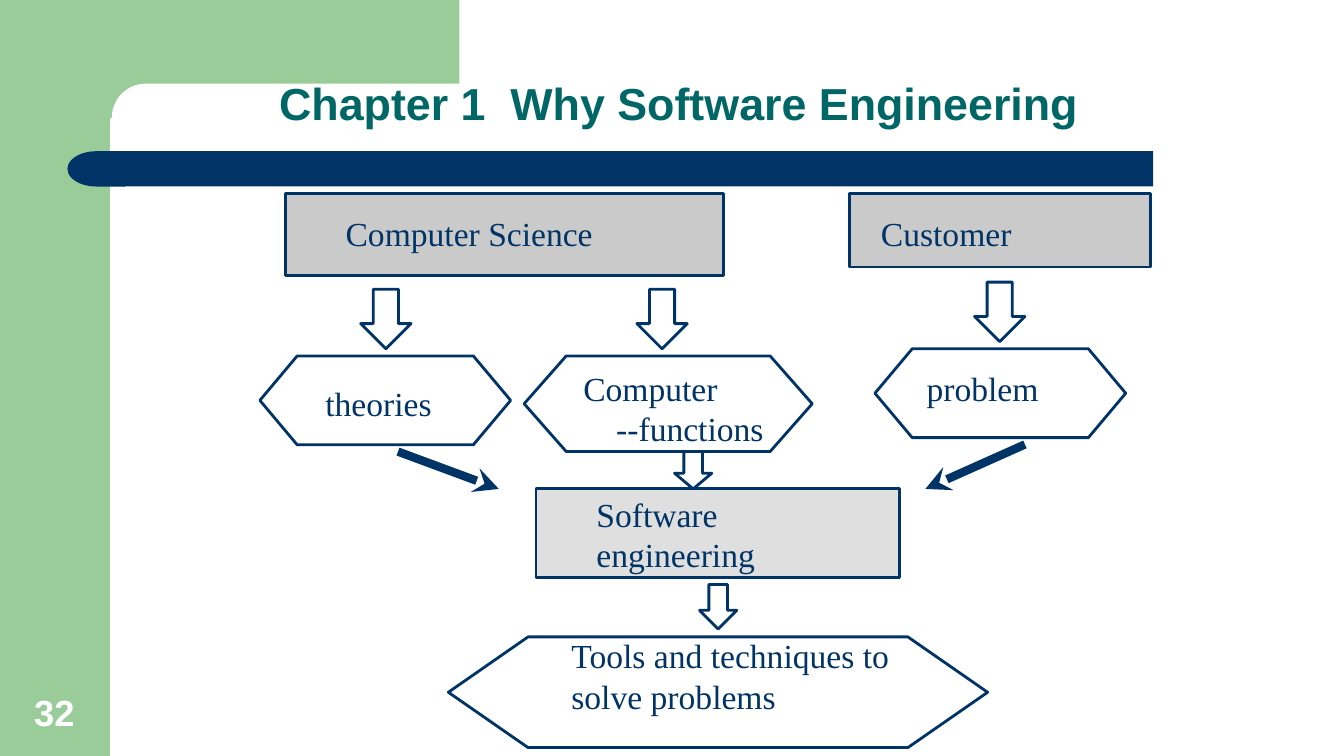
import pptx
import pptx.util
import pptx.dml.color
import pptx.enum.shapes
import pptx.enum.text
import pptx.oxml.ns
from lxml import etree

Cm, Pt = pptx.util.Cm, pptx.util.Pt
MSO = pptx.enum.shapes.MSO_SHAPE
ANCHOR = pptx.enum.text.MSO_ANCHOR
COLORS = {"green": "99CC99", "navy": "003366", "teal": "006666",
          "white": "FFFFFF", "gray": "969696", "silver": "C0C0C0"}


def rgb(name):
    return pptx.dml.color.RGBColor.from_string(COLORS[name])


def add_shape(kind, box, fill=None, outlined=True):
    sp = s.shapes.add_shape(kind, *[Cm(v) for v in box])
    sp.shadow.inherit = False
    if fill:
        sp.fill.solid()
        sp.fill.fore_color.rgb = rgb(fill)
    else:
        sp.fill.background()
    if outlined:
        sp.line.color.rgb = rgb("navy")
        sp.line.width = Pt(2)
    else:
        sp.line.fill.background()
    return sp


prs = pptx.Presentation()
prs.slide_width, prs.slide_height = Cm(33.87), Cm(19.05)
s = prs.slides.add_slide(prs.slide_layouts[5])

for kind, box, fill in [
    (MSO.RECTANGLE, (0, 0, 2.77, 19.05), "green"),
    (MSO.RECTANGLE, (2.49, 0, 9.09, 2.97), "green"),
    (MSO.ROUNDED_RECTANGLE, (2.82, 2.11, 18.9, 1.7), "white"),
    (MSO.RECTANGLE, (3.1, 3.81, 25.96, 0.89), "navy"),
    (MSO.FLOWCHART_DELAY, (1.7, 3.81, 1.45, 0.89), "navy"),
]:
    sp = add_shape(kind, box, fill, outlined=False)
    if kind == MSO.ROUNDED_RECTANGLE:
        sp.adjustments[0] = 0.5
    if kind == MSO.FLOWCHART_DELAY:
        sp.rotation = 180

title = s.shapes.title
s.shapes._spTree.append(title._element)
title.left, title.top, title.width, title.height = Cm(6.78), Cm(1.4), Cm(22.22), Cm(2)
number = s.shapes.add_textbox(Cm(0.28), Cm(17.27), Cm(2.18), Cm(1.35))
for sp, text, size, color, align in [
    (title, "Chapter 1  Why Software Engineering", 32, "teal", pptx.enum.text.PP_ALIGN.LEFT),
    (number, "32", 26, "white", pptx.enum.text.PP_ALIGN.CENTER),
]:
    tf = sp.text_frame
    tf.text = text
    tf.word_wrap = True
    tf.auto_size = pptx.enum.text.MSO_AUTO_SIZE.NONE
    tf.vertical_anchor = ANCHOR.BOTTOM
    p = tf.paragraphs[0]
    p.alignment = align
    p.font.name, p.font.size, p.font.bold = "Arial", Pt(size), True
    p.font.color.rgb = rgb(color)
title.text_frame.paragraphs[0].line_spacing = 0.9

for box, fill in [
    ((7.19, 4.88, 11.05, 2.06), "gray"),
    ((21.41, 4.88, 7.59, 1.85), "gray"),
    ((13.51, 12.32, 9.17, 2.24), "silver"),
]:
    sp = add_shape(MSO.RECTANGLE, box, fill)
    clr = sp._element.spPr.find(".//" + pptx.oxml.ns.qn("a:srgbClr"))
    etree.SubElement(clr, pptx.oxml.ns.qn("a:alpha"), val="50000")

for box, head in [
    ((9.09, 7.29, 1.27, 1.5), 0.5),
    ((16.05, 7.29, 1.27, 1.5), 0.5),
    ((24.56, 7.11, 1.27, 1.5), 0.5),
    ((17, 11.38, 0.94, 0.94), 0.42),
    ((17.63, 14.73, 0.94, 1.12), 0.5),
]:
    add_shape(MSO.DOWN_ARROW, box).adjustments[1] = head

for box, adj in [
    ((6.55, 8.97, 6.32, 2.24), 0.42),
    ((13.21, 8.97, 7.26, 2.41), 0.44),
    ((22.05, 8.79, 6.32, 2.24), 0.42),
    ((11.3, 16.05, 13.59, 2.79), 0.72),
]:
    add_shape(MSO.HEXAGON, box).adjustments[0] = adj

for text, left, top, width in [
    ("Computer Science", 8.46, 5.23, 9.8),
    ("Customer", 21.95, 5.23, 6.4),
    ("theories", 7.95, 9.53, 5),
    ("Computer\n--functions", 14.45, 9.14, 5.6),
    ("problem", 23.1, 9.14, 5),
    ("Software\vengineering", 14.78, 12.32, 7.9),
    ("Tools and techniques to\vsolve problems", 14.15, 15.88, 10.44),
]:
    lines = 1 + text.count("\n") + text.count("\v")
    tf = s.shapes.add_textbox(Cm(left), Cm(top), Cm(width), Cm(0.25 + 1.02 * lines)).text_frame
    tf.word_wrap = True
    tf.text = text
    for p in tf.paragraphs:
        p.font.name, p.font.size = "Times New Roman", Pt(24)
        p.font.color.rgb = rgb("navy")
        if p.text.startswith("--"):
            p._p.get_or_add_pPr().set("marL", str(Cm(0.83)))

for x1, y1, x2, y2 in [(25.83, 11.2, 23.32, 12.32), (10.03, 11.38, 12.57, 12.32)]:
    cn = s.shapes.add_connector(pptx.enum.shapes.MSO_CONNECTOR.STRAIGHT, Cm(x1), Cm(y1), Cm(x2), Cm(y2))
    cn.line.color.rgb = rgb("navy")
    cn.line.width = Pt(6)
    etree.SubElement(cn.line._get_or_add_ln(), pptx.oxml.ns.qn("a:tailEnd"), type="stealth")
    etree.SubElement(cn._element.spPr, pptx.oxml.ns.qn("a:effectLst"))

prs.save("out.pptx")
